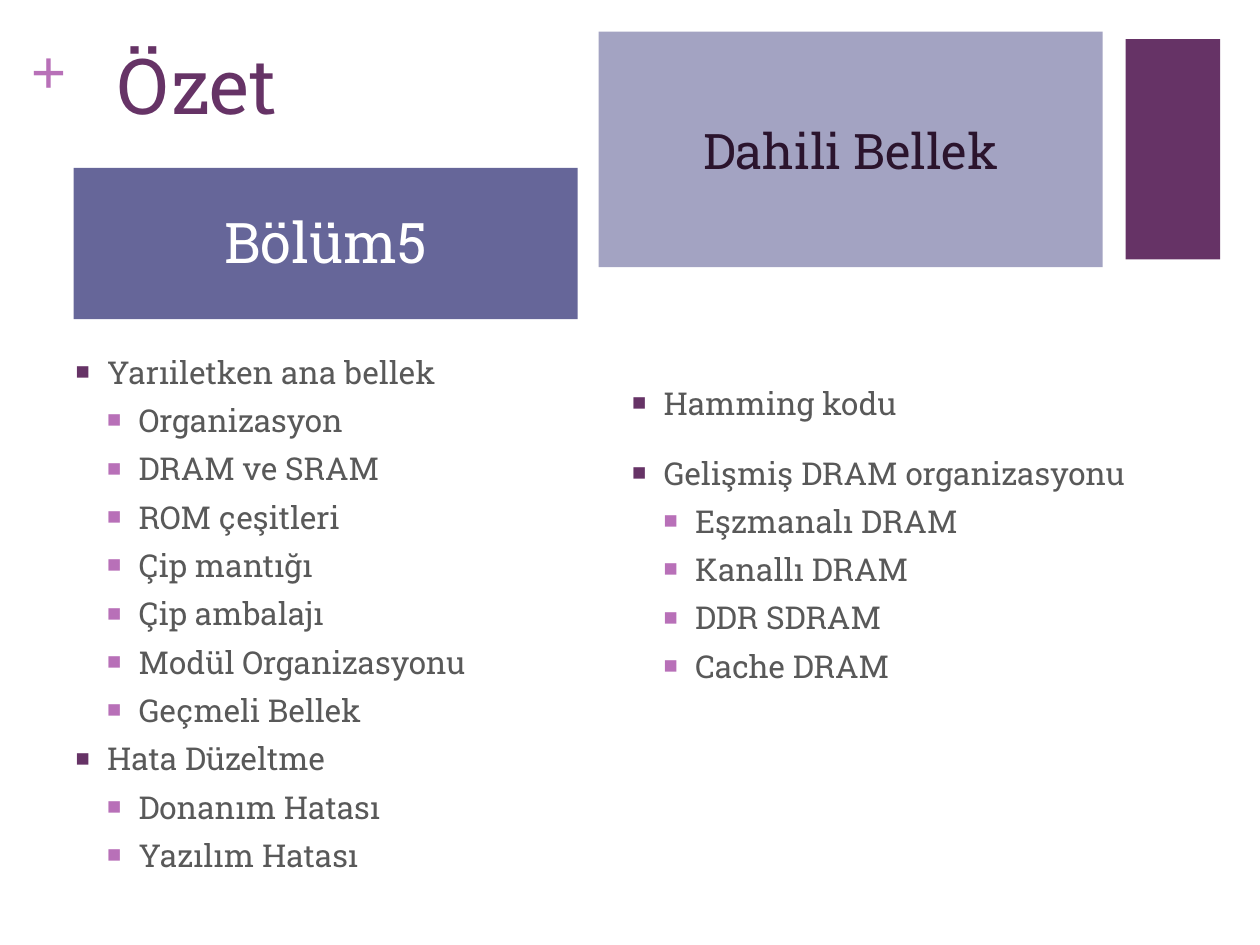
from lxml import etree
from pptx import Presentation
from pptx import util as u
from pptx.dml.color import RGBColor
from pptx.enum import shapes, text
from pptx.oxml.ns import qn

# Content: list items are (indent step, outline level, space before, wording)
TITLE = "Özet"
MARK = "+"
LEFT_ITEMS = [
    (0, 0, 6, "Yarıiletken ana bellek"),
    (1, 1, 6, "Organizasyon"),
    (1, 1, 6, "DRAM ve SRAM"),
    (1, 1, 6, "ROM çeşitleri"),
    (1, 1, 6, "Çip mantığı"),
    (1, 1, 6, "Çip ambalajı"),
    (1, 1, 6, "Modül Organizasyonu"),
    (1, 1, 6, "Geçmeli Bellek"),
    (0, 0, 6, "Hata Düzeltme"),
    (1, 1, 6, "Donanım Hatası"),
    (1, 1, 6, "Yazılım Hatası"),
]
RIGHT_ITEMS = [
    (0, 1, 18, "Hamming kodu"),
    (0, 1, 18, "Gelişmiş DRAM organizasyonu"),
    (1, 1, 6, "Eşzmanalı DRAM"),
    (1, 1, 6, "Kanallı DRAM"),
    (1, 1, 6, "DDR SDRAM"),
    (1, 1, 6, "Cache DRAM"),
]

THEME = {
    "font": "Roboto Slab", "mark_font": "Times New Roman",
    "bullet_font": "Times New Roman",
    "plum": "663366", "orchid": "B870B8", "body": "595959",
    "indigo": "666699", "lavender": "A3A3C2",
    "dark": "2B142D", "white": "FFFFFF",
    "title_size": 44, "mark_size": 36, "chapter_size": 32,
    "topic_size": 28, "list_size": 18,
}
INDENT = 18

# Places: left, top, width, height in points
SIDE_BAR = (643.2, 22.3, 54, 126)
MARK_BOX = (17.5, 18, 21, 44)
TITLE_BOX = (60, 18, 270, 88)
CHAPTER_PANEL = (42.1, 96, 288, 86.4)
TOPIC_PANEL = (342.1, 18.1, 288, 134.6)
LEFT_LIST = (36.1, 198, 288, 342)
RIGHT_LIST = (354.1, 216, 300, 342)


def color(name):
    return RGBColor.from_string(THEME[name])


def add_span(para, wording, size, ink, font="font", bold=False):
    span = para.add_run()
    span.text = wording
    span.font.size = u.Pt(THEME[size])
    span.font.name = THEME[font]
    span.font.color.rgb = color(ink)
    span.font.bold = bold


def add_box(page, place, margins=(7.2, 3.6, 7.2, 3.6)):
    frame = page.shapes.add_textbox(*map(u.Pt, place)).text_frame
    frame.word_wrap = True
    set_margins(frame, margins)
    return frame


def set_margins(frame, margins):
    (frame.margin_left, frame.margin_top,
     frame.margin_right, frame.margin_bottom) = map(u.Pt, margins)


def add_panel(page, place, fill):
    panel = page.shapes.add_shape(shapes.MSO_SHAPE.RECTANGLE, *map(u.Pt, place))
    panel.shadow.inherit = False
    panel.fill.solid()
    panel.fill.fore_color.rgb = color(fill)
    panel.line.fill.background()
    return panel


def add_heading_panel(page, place, fill, wording, size, ink, bottom=0):
    frame = add_panel(page, place, fill).text_frame
    frame.word_wrap = True
    frame.vertical_anchor = text.MSO_ANCHOR.MIDDLE
    set_margins(frame, (7.2, 0, 7.2, bottom))
    para = frame.paragraphs[0]
    para.alignment = text.PP_ALIGN.CENTER
    add_span(para, wording, size, ink)


def add_bullet(para, step):
    props = para._p.get_or_add_pPr()
    props.set("marL", str(u.Pt(INDENT * (step + 1))))
    props.set("indent", str(-u.Pt(INDENT)))
    tint = etree.SubElement(props, qn("a:buClr"))
    etree.SubElement(tint, qn("a:srgbClr"), val=THEME[("plum", "orchid")[step]])
    etree.SubElement(props, qn("a:buSzPct"), val="75000")
    etree.SubElement(props, qn("a:buFont"), typeface=THEME["bullet_font"])
    etree.SubElement(props, qn("a:buChar"), char="■")


def add_list(page, place, items):
    frame = add_box(page, place)
    for index, (step, level, before, wording) in enumerate(items):
        para = frame.add_paragraph() if index else frame.paragraphs[0]
        para.level = level
        para.space_before = u.Pt(before)
        add_bullet(para, step)
        add_span(para, wording, "list_size", "body")


def main():
    deck = Presentation()
    deck.slide_width, deck.slide_height = u.Pt(720), u.Pt(540)
    page = deck.slides.add_slide(deck.slide_layouts[6])

    # Side bar and plus mark
    add_panel(page, SIDE_BAR, "plum")
    mark = add_box(page, MARK_BOX, (0, 0, 0, 0))
    add_span(mark.paragraphs[0], MARK, "mark_size", "orchid", "mark_font", True)

    # Title
    title = add_box(page, TITLE_BOX)
    add_span(title.paragraphs[0], TITLE, "title_size", "plum")

    # Lists
    add_list(page, LEFT_LIST, LEFT_ITEMS)
    add_list(page, RIGHT_LIST, RIGHT_ITEMS)

    # Heading panels
    add_heading_panel(page, CHAPTER_PANEL, "indigo", "Bölüm5",
                      "chapter_size", "white", bottom=2.4)
    add_heading_panel(page, TOPIC_PANEL, "lavender", "Dahili Bellek",
                      "topic_size", "dark")

    deck.save("out.pptx")


if __name__ == "__main__":
    main()
